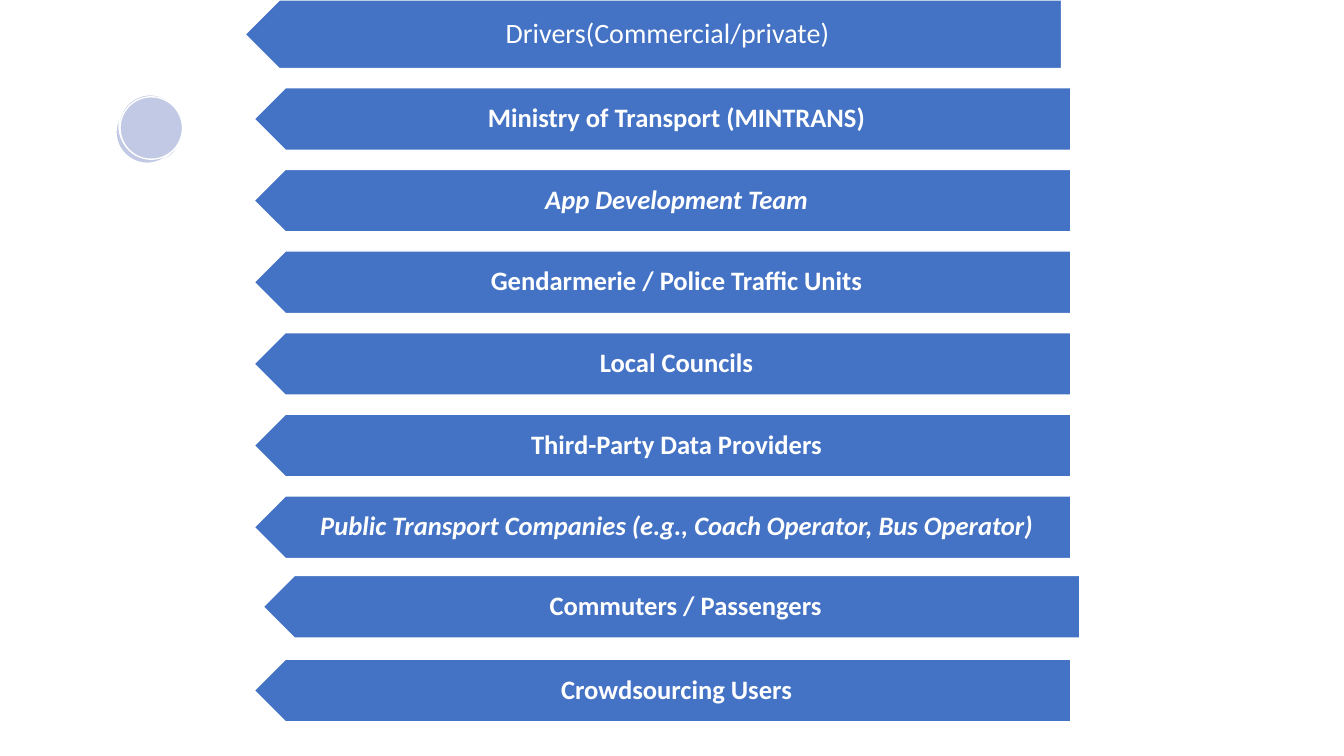
"""Build a slide listing the stakeholders as left-pointing banners."""
from pptx import Presentation
from pptx.dml.color import RGBColor
from pptx.enum.shapes import MSO_SHAPE as SHAPE
from pptx.enum.text import MSO_ANCHOR, PP_ALIGN
from pptx.util import Inches, Pt

COLORS = {"banner": "4472C4", "circle": "C1C9E4", "white": "FFFFFF"}
BANNER_W, BANNER_H = 8.1, 0.62
LEFT, TOP, PITCH = 2.52, 0.87, 0.81
TEXT_INDENT = 0.16
CIRCLE_D = 0.62


def rgb(name):
    return RGBColor.from_string(COLORS[name])


def add_filled(s, kind, left, top, width, height, fill):
    sp = s.shapes.add_shape(kind, Inches(left), Inches(top), Inches(width), Inches(height))
    sp.shadow.inherit = False
    sp.fill.solid()
    sp.fill.fore_color.rgb = rgb(fill)
    sp.line.color.rgb = rgb("white")
    sp.line.width = Pt(1)
    return sp


prs = Presentation()
prs.slide_width, prs.slide_height = Inches(13.33), Inches(7.5)
s = prs.slides.add_slide(prs.slide_layouts[6])

banners = [("Drivers(Commercial/private)", 2.43, 0, 0.68, 20, False, False)]
stakeholders = [
    ("Ministry of Transport (MINTRANS)", False),
    ("App Development Team", True),
    ("Gendarmerie / Police Traffic Units", False),
    ("Local Councils", False),
    ("Third-Party Data Providers", False),
    ("Public Transport Companies (e.g., Coach Operator, Bus Operator)", True),
    ("Commuters / Passengers", False),
    ("Crowdsourcing Users", False),
]
nudges = {"Commuters / Passengers": (0.09, -0.02)}
for i, (name, italic) in enumerate(stakeholders):
    dx, dy = nudges.get(name, (0, 0))
    banners.append((name, LEFT + dx, TOP + i * PITCH + dy, BANNER_H, 19, True, italic))

circles = [(1.17, 0.98), (1.18, 0.99), (1.17, 0.94), (1.15, 0.99), (1.18, 1),
           (1.15, 1), (1.18, 0.94), (1.19, 0.96)]
for left, top in circles:
    add_filled(s, SHAPE.OVAL, left, top, CIRCLE_D, CIRCLE_D, "circle")

for name, left, top, height, size, bold, italic in banners:
    arrow = add_filled(s, SHAPE.PENTAGON, left, top, BANNER_W, height, "banner")
    arrow.rotation = 180

    label = s.shapes.add_textbox(Inches(left + TEXT_INDENT), Inches(top),
                                 Inches(BANNER_W - TEXT_INDENT), Inches(height))
    tf = label.text_frame
    tf.word_wrap = True
    tf.vertical_anchor = MSO_ANCHOR.MIDDLE
    tf.margin_left, tf.margin_right = Inches(0.27), Inches(0.15)
    tf.margin_top = tf.margin_bottom = Inches(0.08)
    tf.text = name
    p = tf.paragraphs[0]
    p.alignment = PP_ALIGN.CENTER
    p.line_spacing = 0.9
    font = p.runs[0].font
    font.name, font.size = "Calibri", Pt(size)
    font.bold, font.italic = bold, italic
    font.color.rgb = rgb("white")

prs.save("out.pptx")
